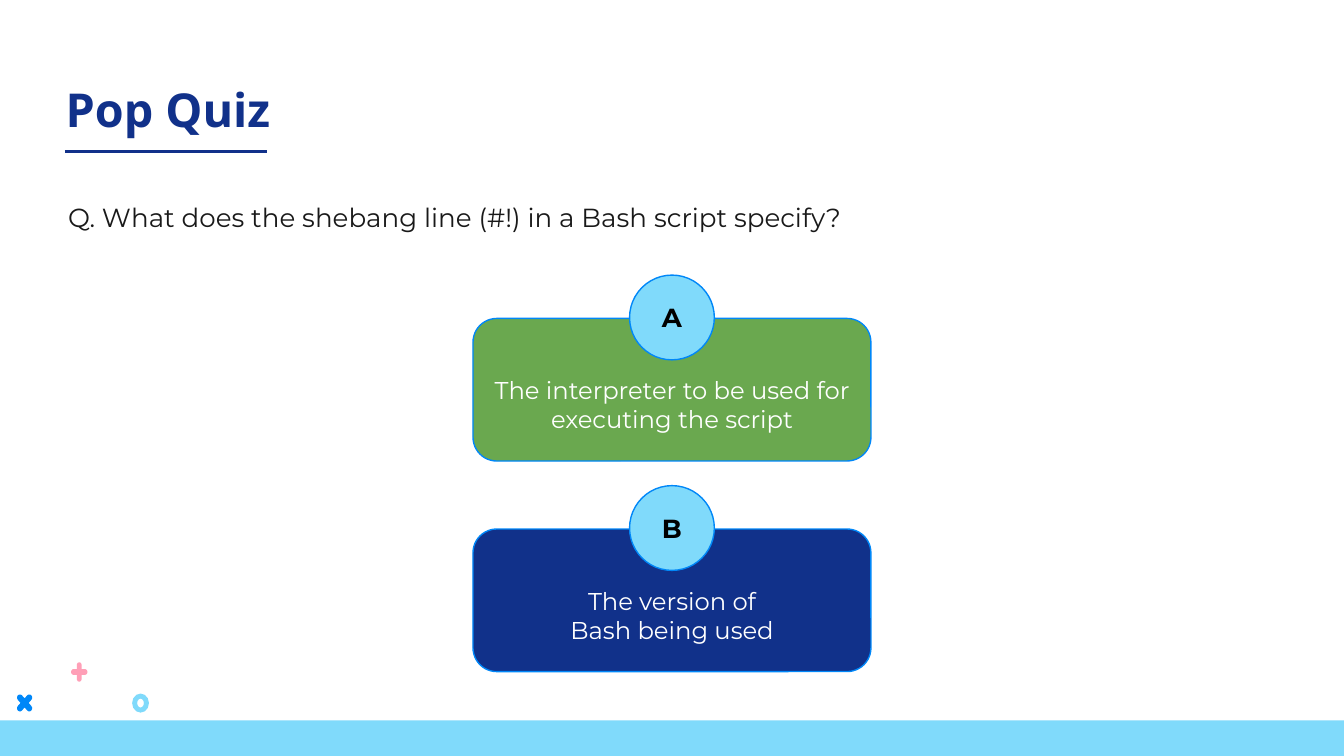
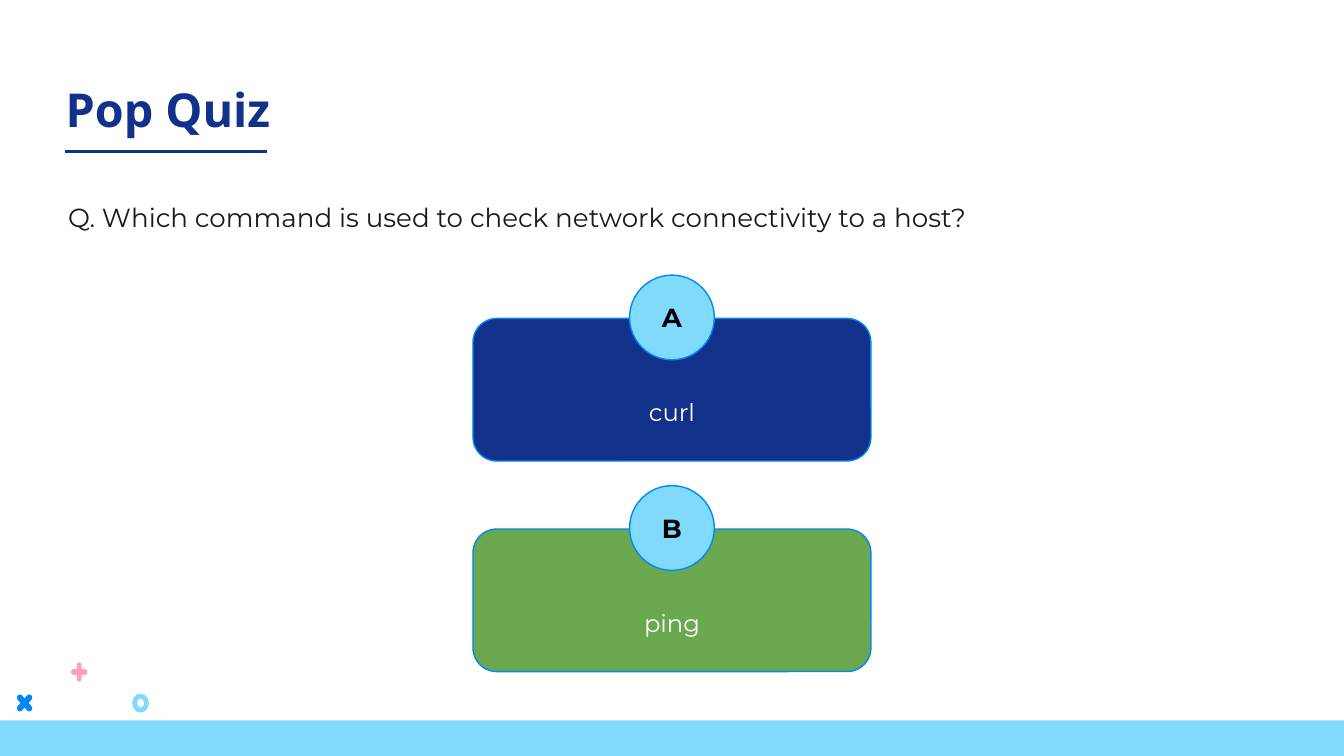
import math

import pptx
import pptx.dml.color
import pptx.enum.shapes
import pptx.enum.text
import pptx.oxml.ns
import pptx.util
from lxml import etree

Pt = pptx.util.Pt
Kind = pptx.enum.shapes.MSO_SHAPE
Align = pptx.enum.text.PP_ALIGN
Anchor = pptx.enum.text.MSO_ANCHOR

WIDE, HIGH = 720, 405
NAVY, SKY, BLUE, GREEN, PINK = "11318A", "80DAFB", "0087F8", "6AA84F", "FF9FB7"
INK, BLACK, WHITE = "191919", "000000", "FFFFFF"
HEAD, BODY = "Noto Sans", "Montserrat"
INSET, LEAD = 7.2, 16
BOX_W, BOX_H, BOX_TOP, STEP, DISC = 213.2, 76.4, 170.6, 112.8, 45.4

QUIZ = [
    ("Q. What does the shebang line (#!) in a Bash script specify?",
     [("The interpreter to be used for executing the script", GREEN, LEAD),
      ("The version of\vBash being used", NAVY, LEAD)]),
    ("Q. Which command is used to check network connectivity to a host?",
     [("curl", NAVY, 1.5 * LEAD), ("ping", GREEN, 1.5 * LEAD)]),
]


def color(code):
    """Turn a hex string into a colour."""
    return pptx.dml.color.RGBColor.from_string(code)


def write(shape, text, size=14, font=BODY, ink=INK, bold=False,
          align=Align.LEFT, anchor=Anchor.TOP, drop=0):
    """Put formatted text in a shape, lowered by extra top inset."""
    frame = shape.text_frame
    frame.word_wrap = True
    frame.auto_size = pptx.enum.text.MSO_AUTO_SIZE.NONE
    frame.vertical_anchor = anchor
    frame.margin_left = frame.margin_right = frame.margin_bottom = Pt(INSET)
    frame.margin_top = Pt(INSET + drop)
    para = frame.paragraphs[0]
    para.text = text
    para.alignment = align
    for run in para.runs:
        run.font.size, run.font.name, run.font.bold = Pt(size), font, bold
        run.font.color.rgb = color(ink)


def paint(shape, fill, line=None):
    """Set fill and outline and drop the shadow."""
    shape.shadow.inherit = False
    shape.fill.solid()
    shape.fill.fore_color.rgb = color(fill)
    if line:
        shape.line.color.rgb = color(line)
        shape.line.width = Pt(0.75)
    else:
        shape.line.fill.background()
    return shape


def draw(shapes, kind, left, top, width, height, fill, line=None):
    """Add a painted preset shape."""
    shape = shapes.add_shape(kind, Pt(left), Pt(top), Pt(width), Pt(height))
    return paint(shape, fill, line)


def cross(shapes, mid_x, mid_y, width, height, fill, turn=0):
    """Add a cross with four round-ended arms."""
    thick = 0.3
    dots = []
    for arm in range(4):
        base = 90 * arm + turn
        tip = math.radians(base)
        for swing in range(-90, 91, 30):
            angle = math.radians(base + swing)
            dots.append(((1 - thick) * math.cos(tip) + thick * math.cos(angle),
                         (1 - thick) * math.sin(tip) + thick * math.sin(angle)))
        nook = math.radians(base + 45)
        dots.append((thick * math.sqrt(2) * math.cos(nook),
                     thick * math.sqrt(2) * math.sin(nook)))
    reach = max(x for x, y in dots)
    spots = [(Pt(mid_x + x / reach * width / 2), Pt(mid_y + y / reach * height / 2))
             for x, y in dots]
    pen = shapes.build_freeform(*spots[0])
    pen.add_line_segments(spots[1:])
    paint(pen.convert_to_shape(), fill)


def rule(shapes, left, right, top):
    """Add the line under the title."""
    line = shapes.add_connector(pptx.enum.shapes.MSO_CONNECTOR.STRAIGHT,
                                Pt(left), Pt(top), Pt(right), Pt(top))
    line.line.color.rgb = color(NAVY)
    line.line.width = Pt(1.5)
    props = line._element.spPr
    etree.SubElement(props, pptx.oxml.ns.qn("a:effectLst"))


def footer(shapes):
    """Add the bottom band and its three marks."""
    draw(shapes, Kind.RECTANGLE, 0, 386, WIDE, HIGH - 386, SKY)
    marks = shapes.add_group_shape().shapes
    ring = draw(marks, Kind.DONUT, 70.8, 371.6, 9, 10.2, SKY)
    ring.adjustments[0] = 0.3
    cross(marks, 13.2, 376.6, 8, 9, BLUE, turn=45)
    cross(marks, 42.5, 360, 8.8, 10.4, PINK)


def header(page, text):
    """Fill the title and underline it."""
    title = page.shapes.title
    title.left, title.top, title.width, title.height = map(Pt, (28, 36, 472, 45.4))
    write(title, text, size=25, font=HEAD, ink=NAVY, bold=True)
    rule(page.shapes, 34.8, 143, 81.2)


def answer(shapes, label, top, text, fill, drop):
    """Add an answer box with its letter disc."""
    box = draw(shapes, Kind.ROUNDED_RECTANGLE, (WIDE - BOX_W) / 2, top,
               BOX_W, BOX_H, fill, BLUE)
    write(box, text, size=13, ink=WHITE, align=Align.CENTER,
          anchor=Anchor.MIDDLE, drop=drop)
    disc = draw(shapes, Kind.OVAL, (WIDE - DISC) / 2, top - DISC / 2 - 0.5,
                DISC, DISC, SKY, BLUE)
    write(disc, label, ink=BLACK, bold=True, align=Align.CENTER,
          anchor=Anchor.MIDDLE)


def slide(deck, question, answers):
    """Add one quiz slide."""
    page = deck.slides.add_slide(deck.slide_layouts[5])
    footer(page.shapes)
    header(page, "Pop Quiz")
    write(page.shapes.add_textbox(Pt(29.4), Pt(100.8), Pt(646), Pt(36)), question)
    group = page.shapes.add_group_shape().shapes
    for row, (label, item) in enumerate(zip("AB", answers)):
        answer(group, label, BOX_TOP + row * STEP, *item)


def main():
    """Build and save the deck."""
    deck = pptx.Presentation()
    deck.slide_width, deck.slide_height = Pt(WIDE), Pt(HIGH)
    for question, answers in QUIZ:
        slide(deck, question, answers)
    deck.save("out.pptx")


if __name__ == "__main__":
    main()
